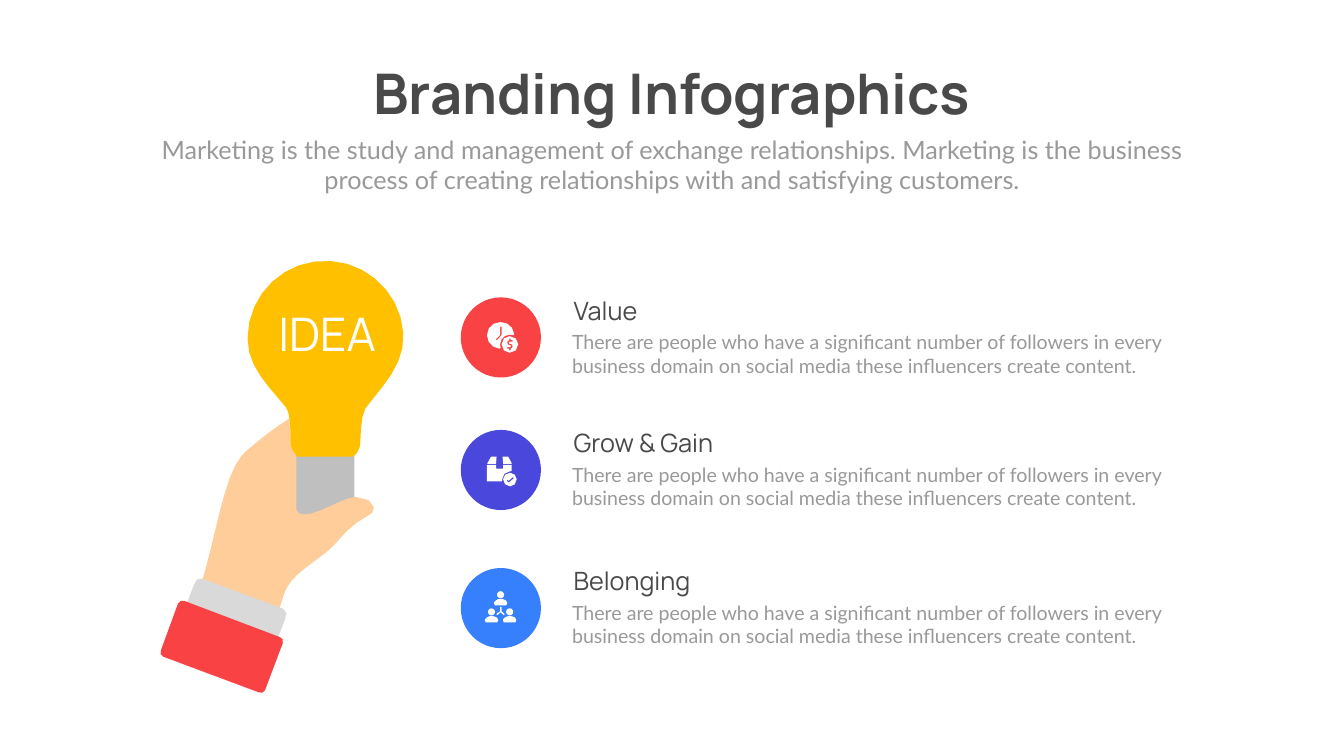
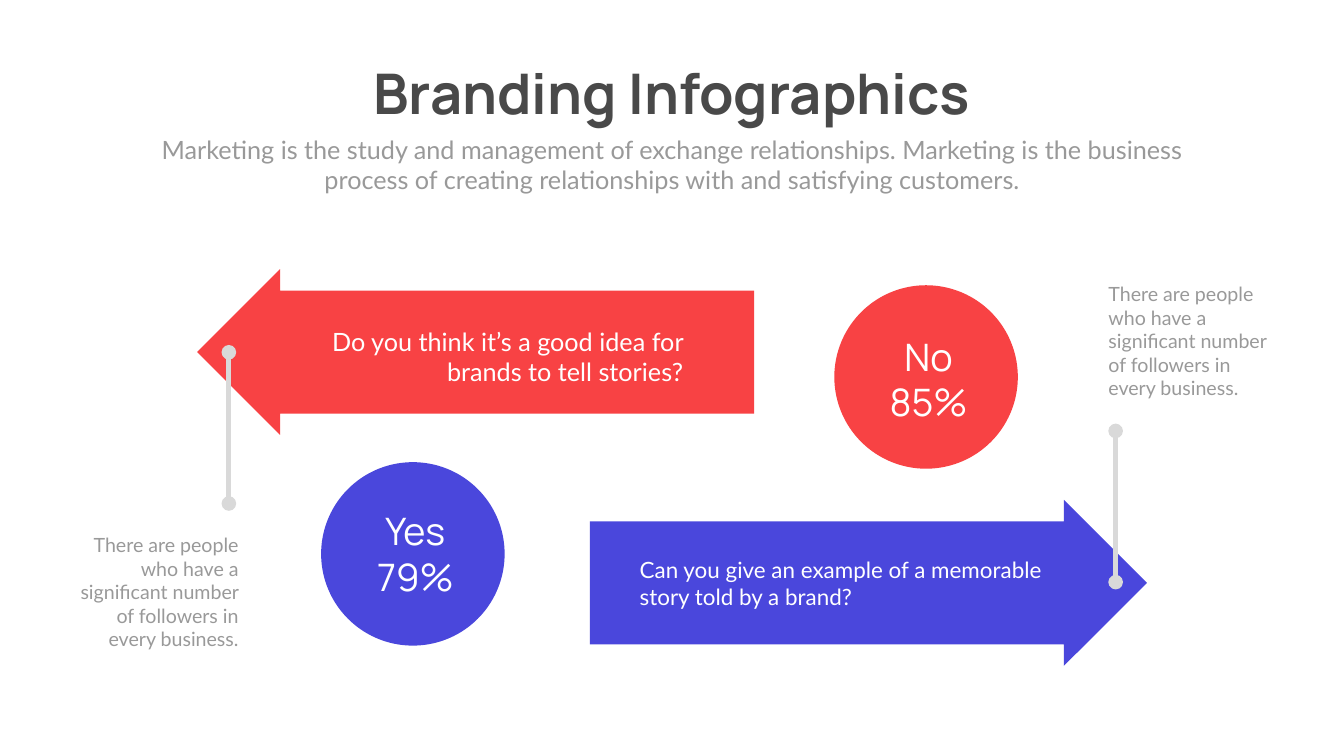
from dataclasses import dataclass
from math import dist, sqrt
from lxml.etree import SubElement as Sub
from pptx import Presentation
from pptx.dml.color import RGBColor as Rgb
from pptx.enum.shapes import MSO_CONNECTOR as Link, MSO_SHAPE as Kind
from pptx.enum.text import MSO_AUTO_SIZE as Fit, PP_ALIGN as Align
from pptx.oxml.ns import qn
from pptx.util import Inches, Pt


@dataclass(frozen=True)
class Theme:
    head: str = "Manrope"
    body: str = "Lato"
    dark: str = "494949"
    gray: str = "999999"
    pale: str = "D9D9D9"
    steel: str = "BFBFBF"
    skin: str = "FFCD99"
    gold: str = "FFC000"
    red: str = "F84244"
    blue: str = "4A47DC"
    sky: str = "367FFD"
    white: str = "FFFFFF"
    title: int = 80
    idea: int = 66
    vote: int = 54
    lead: int = 36
    ask: int = 32
    note: int = 28
    rod: int = 7


T = Theme()
LEFT, MID, RIGHT = Align.LEFT, Align.CENTER, Align.RIGHT

TITLE = "Branding Infographics"
LEAD = ("Marketing is the study and management of exchange relationships. "
        "Marketing is the business process of creating relationships with "
        "and satisfying customers.")
BLURB = "There are people who have a significant number of followers in every business"
DETAIL = BLURB + " domain on social media these influencers create content."
NOTE = BLURB + "."

ROWS = [("Value", T.red, 5.9), ("Grow & Gain", T.blue, 8.53), ("Belonging", T.sky, 11.27)]
DISC, VOTE = 1.59, 3.64

HAND = [
    (T.steel, """M 5.99 10.29 L 6.92 10.29 C 6.98 10.29 7.03 10.24 7.03 10.17
     L 7.03 8.96 5.87 8.96 5.87 10.17 C 5.88 10.24 5.93 10.29 5.99 10.29"""),
    (T.skin, """M 3.65 12.45 C 3.8 12.08 3.92 11.86 3.97 11.67
     4.3 10.58 4.43 9.5 4.78 9.06 L 4.87 8.96 5.11 8.76
     C 5.27 8.63 5.47 8.48 5.67 8.35 L 5.74 8.3 5.76 8.76
     C 5.76 8.87 5.81 8.97 5.88 9.04
     L 5.88 10.12 C 5.91 10.2 6 10.23 6.17 10.19 6.48 10.11 6.83 9.87 7.05 9.86
     7.4 9.84 7.48 10.13 7.38 10.18 6.79 10.5 6.75 10.75 6.47 10.96
     6.22 11.15 6.03 11.28 5.88 11.42 5.75 11.54 5.66 11.68 5.6 11.89
     5.48 12.27 5.47 12.39 5.29 12.96 5.28 13.01 5.22 13.04 5.17 13.03
     L 3.72 12.58 C 3.67 12.56 3.63 12.5 3.65 12.45"""),
    (T.gold, """M 6.57 5.18 C 7.33 5.23 7.95 5.85 8 6.61 8.04 7.23 7.59 7.65 7.25 8.1
     7.15 8.24 7.15 8.76 7.15 8.76 7.15 8.88 7.1 8.99 7.01 9.06 L 5.9 9.06
     C 5.81 8.97 5.76 8.87 5.76 8.76 5.76 8.76 5.77 8.51 5.74 8.3
     5.73 8.21 5.71 8.13 5.67 8.08 5.35 7.68 4.91 7.29 4.91 6.72
     4.91 5.83 5.66 5.11 6.57 5.18"""),
    (T.pale, """M 5.62 12.08 L 4.01 11.48 C 3.92 11.45 3.88 11.52 3.84 11.62
     L 3.55 12.4 C 3.51 12.51 3.54 12.61 3.62 12.64 L 5.14 13.21
     C 5.22 13.24 5.31 13.19 5.35 13.08 L 5.65 12.3 C 5.69 12.2 5.7 12.11 5.62 12.08"""),
    (T.red, """M 5.55 12.64 L 3.65 11.92 C 3.61 11.9 3.55 11.93 3.53 11.98
     L 3.19 12.91 C 3.17 12.96 3.19 13.01 3.24 13.03 L 5.14 13.74
     C 5.19 13.76 5.24 13.74 5.26 13.69 L 5.61 12.76 C 5.63 12.71 5.6 12.65 5.55 12.64"""),
]

CLOCK = [
    """M 9.92 6.83 C 9.92 6.73 10.01 6.64 10.11 6.64 L 10.18 6.65 10.2 6.63
     C 10.19 6.49 10.07 6.39 9.93 6.39 9.78 6.39 9.66 6.5 9.66 6.65
     9.66 6.79 9.77 6.91 9.91 6.92 L 9.93 6.9 9.92 6.83
     M 9.86 6.75 L 9.84 6.75 9.84 6.73 9.92 6.65 9.92 6.48 9.95 6.48 9.95 6.65 9.86 6.75""",
    """M 10.11 6.67 C 10.02 6.67 9.95 6.74 9.95 6.83 9.95 6.93 10.02 7 10.11 7
     10.21 7 10.28 6.93 10.28 6.83 10.28 6.74 10.21 6.67 10.11 6.67
     M 10.11 6.82 L 10.15 6.83 10.17 6.87 10.16 6.9 10.13 6.92 10.13 6.95 10.1 6.95
     10.1 6.92 10.06 6.92 10.06 6.89 10.12 6.89 10.14 6.87 10.12 6.85
     10.08 6.84 10.06 6.8 10.07 6.77 10.1 6.75 10.1 6.72 10.13 6.72 10.13 6.75
     10.17 6.75 10.17 6.78 10.11 6.78 10.09 6.8 10.11 6.82""",
]
CRATE = [
    """M 9.96 9.51 C 9.96 9.43 10.03 9.35 10.12 9.35 L 10.15 9.35 10.15 9.23
     9.98 9.23 9.98 9.3 9.84 9.3 9.84 9.23 9.66 9.23 9.66 9.55 9.96 9.55 9.96 9.51""",
    "M 9.98 9.21 L 10.15 9.21 10.15 9.19 10.08 9.06 9.97 9.06 9.98 9.21",
    "M 9.67 9.21 L 9.84 9.21 9.85 9.06 9.74 9.06 9.67 9.19 9.67 9.21",
    """M 10.12 9.38 C 10.04 9.38 9.98 9.44 9.98 9.51 9.98 9.59 10.04 9.65 10.12 9.65
     10.19 9.65 10.25 9.59 10.25 9.51 10.25 9.44 10.19 9.38 10.12 9.38
     M 10.19 9.49 L 10.1 9.57 10.08 9.57 10.05 9.53 10.07 9.52 10.09 9.54
     10.17 9.47 10.19 9.47 10.19 9.49""",
]
TORSO = """M 9.82 12.01 L 10.04 12.01 10.06 11.98 10.06 11.95 10.03 11.91
     C 10 11.9 9.97 11.88 9.93 11.88 9.89 11.88 9.86 11.9 9.84 11.91
     L 9.8 11.95 9.8 11.98 9.82 12.01"""
FORK = """M 10 12.21 L 10.01 12.18 9.95 12.13 9.95 12.04 9.92 12.04 9.92 12.13
     9.85 12.18 9.86 12.21 9.93 12.15 10 12.21"""
TEAM = [(0, 0), (-0.18, 0.34), (0.18, 0.34)]

ARROWS = [((3.91, 5.34), 0, T.red), ((11.7, 9.92), 180, T.blue)]
VOTES = [(["Yes", "79%"], (6.37, 9.17), 0.86, T.blue),
         (["No", "85%"], (16.55, 5.66), 0.91, T.red)]
ASKS = [("Can you give an example of a memorable story told by a brand?",
         (12.59, 10.99, 8.43, 1.18), T.ask, LEFT),
        ("Do you think it’s a good idea for brands to tell stories?",
         (5.22, 6.42, 8.43, 1.31), T.lead, RIGHT)]
RODS = [(22.13, 8.55), (4.54, 6.99)]
NOTES = [((21.89, 5.55), LEFT), ((1.19, 10.53), RIGHT)]


def put(item, **vals):
    for name, val in vals.items():
        setattr(item, name, val)


def paint(shape, color):
    shape.shadow.inherit = False
    shape.fill.solid()
    shape.fill.fore_color.rgb = Rgb.from_string(color)
    shape.line.fill.background()


def form(slide, kind, box, color):
    shape = slide.shapes.add_shape(kind, *map(Inches, box))
    paint(shape, color)
    return shape


def write(slide, lines, box, face, size, color, align=LEFT, bold=False, wrap=True):
    frame = slide.shapes.add_textbox(*map(Inches, box)).text_frame
    put(frame, word_wrap=wrap, auto_size=Fit.SHAPE_TO_FIT_TEXT, text="\n".join(lines))
    for para in frame.paragraphs:
        para.alignment = align
        put(para.font, name=face, size=Pt(size), bold=bold)
        para.font.color.rgb = Rgb.from_string(color)


def bend(a, b, c, d):
    steps = max(1, round(5 * sqrt(dist(a, d))))
    for i in range(1, steps + 1):
        t = i / steps
        u = 1 - t
        yield tuple(u**3 * p + 3 * u * u * t * q + 3 * u * t * t * r + t**3 * s
                    for p, q, r, s in zip(a, b, c, d))


def trace(code):
    rings, nums, mode = [], [], ""
    for word in code.split():
        if word.isalpha():
            mode = word
            continue
        nums.append(float(word))
        if len(nums) < (6 if mode == "C" else 2):
            continue
        dots = list(zip(nums[::2], nums[1::2]))
        nums = []
        if mode == "M":
            rings.append(dots)
        else:
            ring = rings[-1]
            ring.extend(list(bend(ring[-1], *dots)) if mode == "C" else dots)
    return rings


def draw(slide, code, color, dx=0, dy=0):
    pen = None
    for ring in trace(code):
        dots = [(Inches(x + dx), Inches(y + dy)) for x, y in ring]
        if pen:
            pen.move_to(*dots[0])
        else:
            pen = slide.shapes.build_freeform(*dots[0], scale=1.0)
        pen.add_line_segments(dots[1:-1], close=True)
    paint(pen.convert_to_shape(), color)


def rod(slide, x, y, span=3):
    bar = slide.shapes.add_connector(Link.STRAIGHT, *map(Inches, (x, y, x, y + span)))
    bar.line.color.rgb = Rgb.from_string(T.pale)
    bar.line.width = Pt(T.rod)
    props = bar.element.spPr
    for end in ("a:headEnd", "a:tailEnd"):
        Sub(props.find(qn("a:ln")), qn(end), type="oval")
    Sub(props, qn("a:effectLst"))


def start(deck):
    slide = deck.slides.add_slide(deck.slide_layouts[6])
    slide.background.fill.solid()
    slide.background.fill.fore_color.rgb = Rgb.from_string(T.white)
    write(slide, [TITLE], (6.75, 1.12, 13.16, 1.45), T.head, T.title, T.dark, MID, True, False)
    write(slide, [LEAD], (2.92, 2.61, 20.82, 1.31), T.body, T.lead, T.gray, MID)
    return slide


def ideas(deck):
    slide = start(deck)
    for color, code in HAND:
        draw(slide, code, color)
    for name, color, top in ROWS:
        form(slide, Kind.OVAL, (9.14, top, DISC, DISC), color)
        write(slide, [name], (11.28, top - 0.1, 5.35, 0.71), T.head, T.lead, T.dark)
        write(slide, [DETAIL], (11.25, top + 0.6, 12.23, 1.04), T.body, T.note, T.gray)
    write(slide, ["IDEA"], (5.3, 6.01, 2.38, 1.21), T.head, T.idea, T.white, MID)
    for code in CLOCK + CRATE + [FORK]:
        draw(slide, code, T.white)
    for dx, dy in TEAM:
        form(slide, Kind.OVAL, (9.86 + dx, 11.73 + dy, 0.14, 0.14), T.white)
        draw(slide, TORSO, T.white, dx, dy)


def survey(deck):
    slide = start(deck)
    for spot, turn, color in ARROWS:
        arrow = form(slide, Kind.LEFT_ARROW, (*spot, 11.05, 3.29), color)
        arrow.rotation = turn
        arrow.adjustments[0] = 0.742
        arrow.adjustments[1] = 0.5
    for lines, (x, y), drop, color in VOTES:
        form(slide, Kind.OVAL, (x, y, VOTE, VOTE), color)
        write(slide, lines, (x, y + drop, 3.74, 1.92), T.head, T.vote, T.white, MID)
    for text, box, size, align in ASKS:
        write(slide, [text], box, T.body, size, T.white, align)
    for x, y in RODS:
        rod(slide, x, y)
    for spot, align in NOTES:
        write(slide, [NOTE], (*spot, 3.64, 2.46), T.body, T.note, T.gray, align)


def main():
    deck = Presentation()
    put(deck, slide_width=Inches(26.66), slide_height=Inches(15))
    ideas(deck)
    survey(deck)
    deck.save("out.pptx")


if __name__ == "__main__":
    main()
